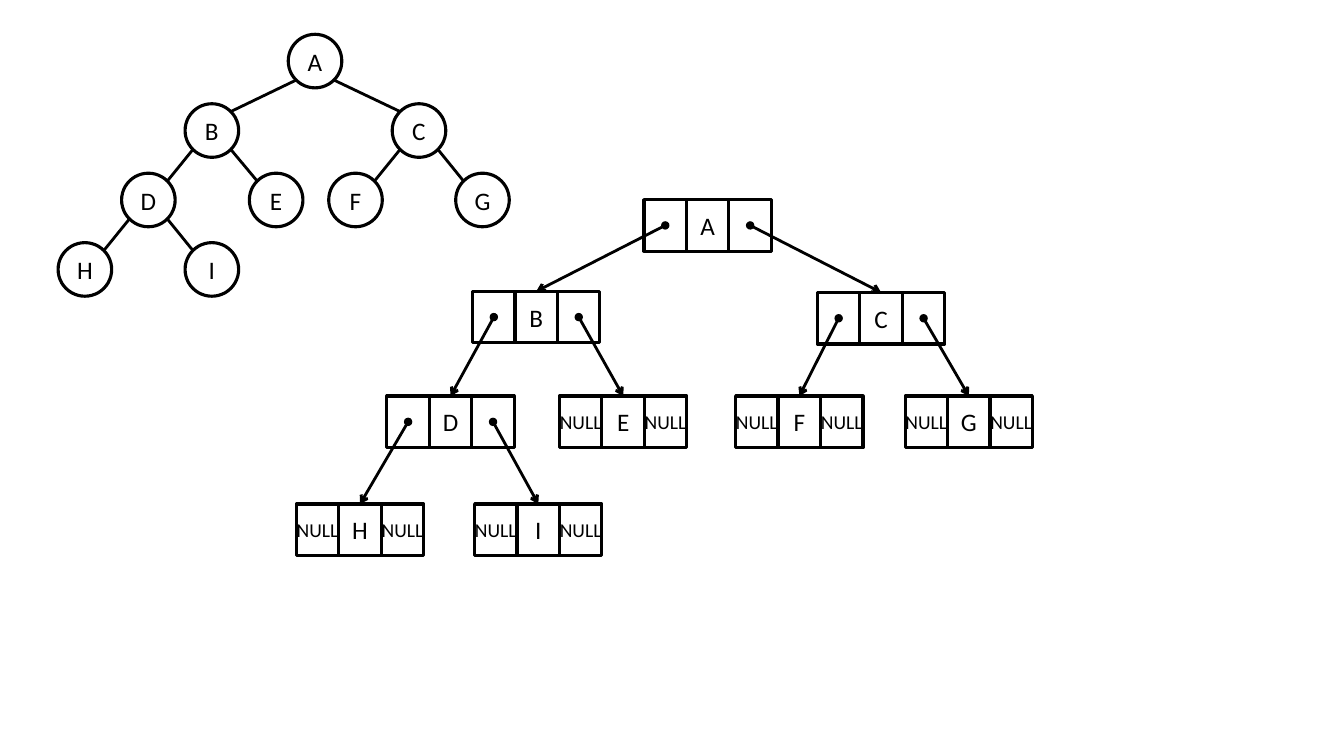
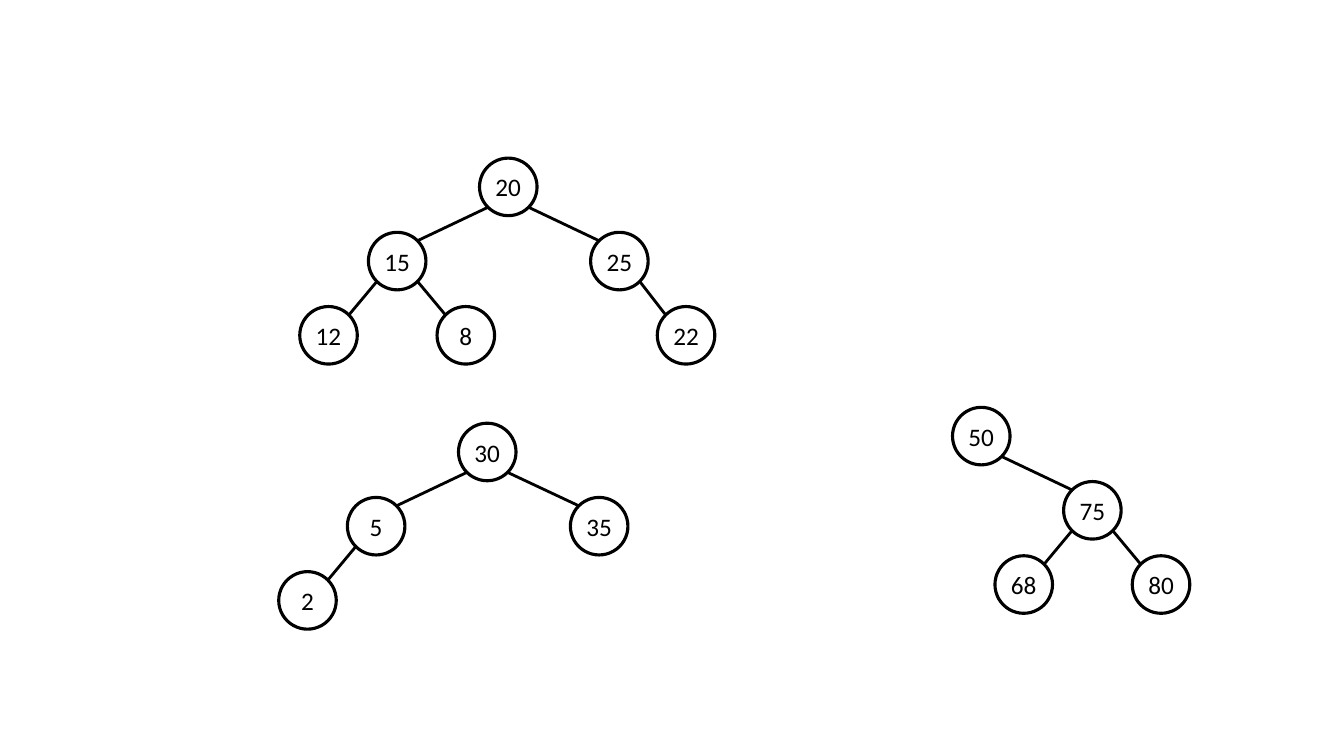
from lxml import etree
from pptx import Presentation
from pptx.dml.color import RGBColor
from pptx.enum.shapes import MSO_CONNECTOR, MSO_SHAPE
from pptx.enum.text import MSO_ANCHOR, PP_ALIGN
from pptx.oxml.ns import qn
from pptx.util import Cm, Pt

STRAIGHT = MSO_CONNECTOR.STRAIGHT
OVAL, RECT = MSO_SHAPE.OVAL, MSO_SHAPE.RECTANGLE
MIDDLE, CENTER = MSO_ANCHOR.MIDDLE, PP_ALIGN.CENTER
TOP = 0

COLORS = {"paper": "FFFFFF", "ink": "000000"}
FONT = "Calibri"
LABEL_SIZE, NULL_SIZE = 18, 14
OUTLINE, EDGE = 2.25, 2
DIAGONAL = 0.71  # sine of 45 degrees

# Circle trees: root centre, circle diameter and level step in cm;
# each node is (label, parent, horizontal offset from the parent).
LETTER_TREES = [
    {"root": (7.94, 1.54), "size": 1.35, "step": 1.75, "nodes": [
        ("A", None, 0), ("B", "A", -2.6), ("C", "A", 2.62),
        ("D", "B", -1.6), ("E", "B", 1.62), ("F", "C", -1.6), ("G", "C", 1.6),
        ("H", "D", -1.6), ("I", "D", 1.6)]},
]
NUMBER_TREES = [
    {"root": (12.81, 4.71), "size": 1.45, "step": 1.87, "nodes": [
        ("20", None, 0), ("15", "20", -2.8), ("25", "20", 2.8),
        ("12", "15", -1.73), ("8", "15", 1.73), ("22", "25", 1.68)]},
    {"root": (12.28, 11.39), "size": 1.45, "step": 1.87, "nodes": [
        ("30", None, 0), ("5", "30", -2.8), ("35", "30", 2.82),
        ("2", "5", -1.73)]},
    {"root": (24.73, 10.99), "size": 1.45, "step": 1.87, "nodes": [
        ("50", None, 0), ("75", "50", 2.8),
        ("68", "75", -1.73), ("80", "75", 1.73)]},
]

# Linked records: label, left, top, left child, right child
CELL_W, CELL_H = 1.07, 1.3
RECORDS = [
    ("A", 16.23, 5.03, "B", "C"),
    ("B", 11.91, 7.34, "D", "E"),
    ("C", 20.6, 7.37, "F", "G"),
    ("D", 9.75, 9.98, "H", "I"),
    ("E", 14.1, 9.98, None, None),
    ("F", 18.54, 9.98, None, None),
    ("G", 22.81, 9.98, None, None),
    ("H", 7.47, 12.7, None, None),
    ("I", 11.96, 12.7, None, None),
]


def rgb(name):
    return RGBColor.from_string(COLORS[name])


def add_box(s, kind, x, y, w, h, text="", size=LABEL_SIZE):
    sp = s.shapes.add_shape(kind, Cm(x), Cm(y), Cm(w), Cm(h))
    sp.shadow.inherit = False
    sp.fill.solid()
    sp.fill.fore_color.rgb = rgb("paper")
    sp.line.color.rgb = rgb("ink")
    sp.line.width = Pt(OUTLINE)
    if text:
        tf = sp.text_frame
        frame = {"word_wrap": False, "vertical_anchor": MIDDLE, "margin_left": 0,
                 "margin_right": 0, "margin_top": 0, "margin_bottom": 0}
        for name, value in frame.items():
            setattr(tf, name, value)
        p = tf.paragraphs[0]
        p.alignment = CENTER
        r = p.add_run()
        r.text = text
        for name, value in {"name": FONT, "size": Pt(size)}.items():
            setattr(r.font, name, value)
        r.font.color.rgb = rgb("ink")
    return sp


def add_edge(s, start, end):
    cx = s.shapes.add_connector(STRAIGHT, *map(Cm, (*start, *end)))
    cx.line.color.rgb = rgb("ink")
    cx.line.width = Pt(EDGE)
    etree.SubElement(cx._element.spPr, qn("a:effectLst"))
    return cx


def draw_tree(s, tree):
    """Draw circles level by level, joined at their 45-degree points."""
    size, centers = tree["size"], {}
    reach = size / 2 * DIAGONAL
    for label, parent, dx in tree["nodes"]:
        if parent is None:
            x, y = tree["root"]
        else:
            px, py = centers[parent]
            x, y = px + dx, py + tree["step"]
            side = reach if dx > 0 else -reach
            add_edge(s, (px + side, py + reach), (x - side, y - reach))
        centers[label] = x, y
        add_box(s, OVAL, x - size / 2, y - size / 2, size, size, label)


def draw_records(s):
    """Draw three-cell records, then a pointer from each filled link cell."""
    label_cells = {}
    for label, x, y, left, right in RECORDS:
        for col, child in ((0, left), (2, right)):
            add_box(s, RECT, x + col * CELL_W, y, CELL_W, CELL_H,
                    "" if child else "NULL", NULL_SIZE)
        label_cells[label] = add_box(s, RECT, x + CELL_W, y, CELL_W, CELL_H, label)
    for _, x, y, left, right in RECORDS:
        for col, child in ((0, left), (2, right)):
            if child:
                dot = x + (col + 0.5) * CELL_W, y + CELL_H / 2
                pointer = add_edge(s, dot, dot)
                pointer.end_connect(label_cells[child], TOP)
                ln = pointer.line._get_or_add_ln()
                for tag, end in (("a:headEnd", "oval"), ("a:tailEnd", "arrow")):
                    etree.SubElement(ln, qn(tag), type=end)


def main():
    prs = Presentation()
    prs.slide_width, prs.slide_height = Cm(33.87), Cm(19.05)
    for trees in (LETTER_TREES, NUMBER_TREES):
        s = prs.slides.add_slide(prs.slide_layouts[6])
        for tree in trees:
            draw_tree(s, tree)
        if trees is LETTER_TREES:
            draw_records(s)
    prs.save("out.pptx")


if __name__ == "__main__":
    main()
